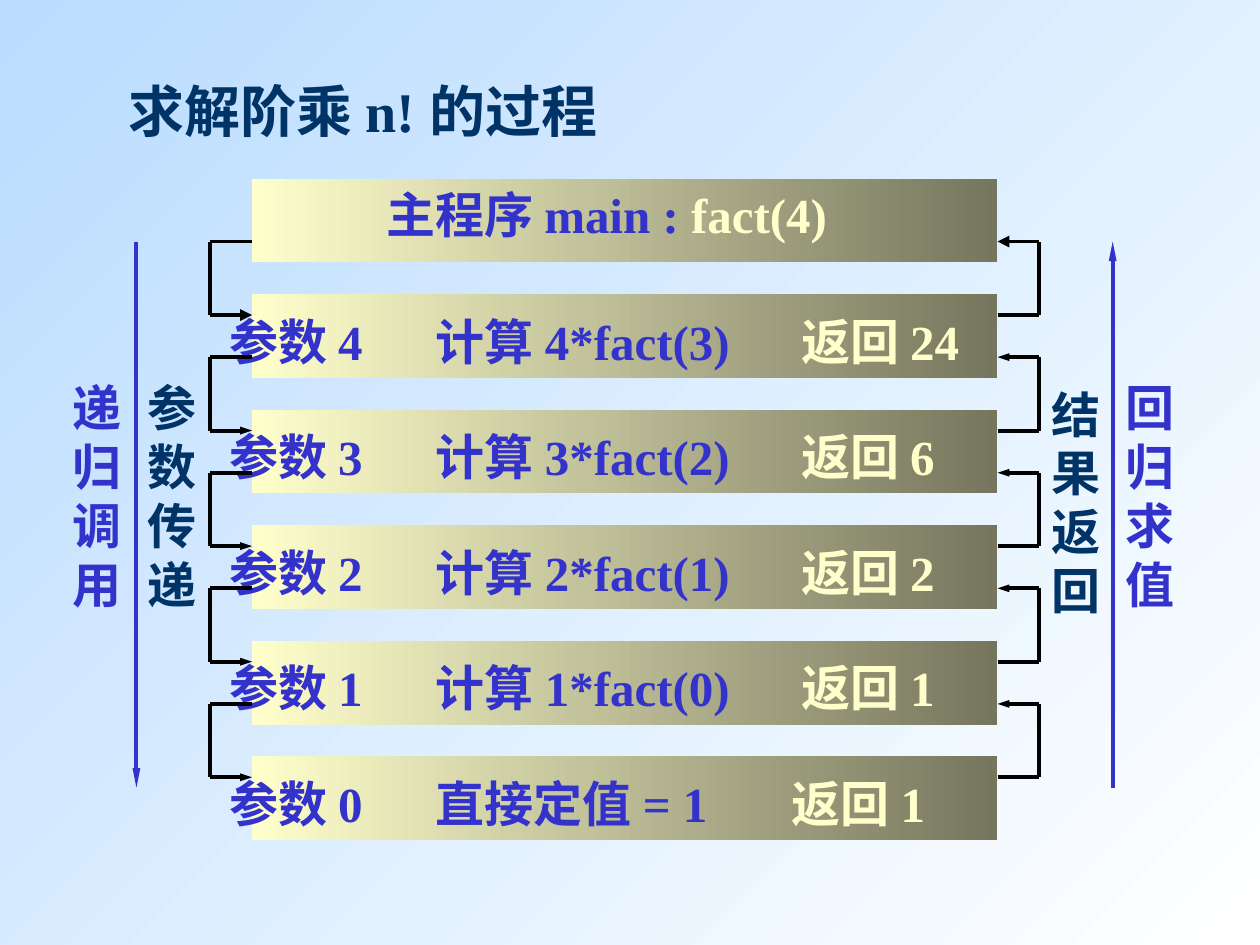
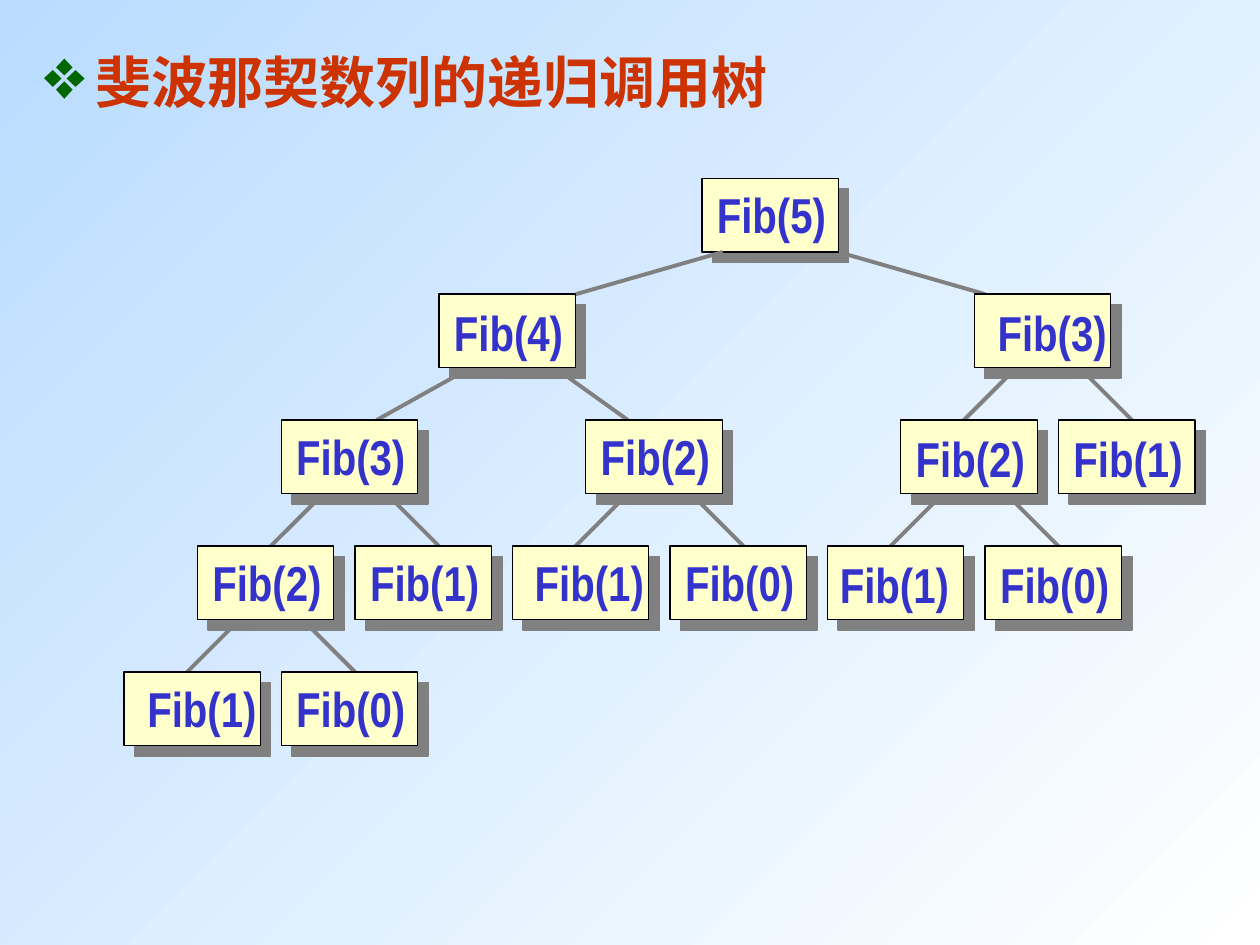
from lxml.etree import SubElement
from pptx import Presentation
from pptx.dml.color import RGBColor
from pptx.enum.shapes import MSO_CONNECTOR, MSO_SHAPE
from pptx.enum.text import MSO_ANCHOR
from pptx.oxml.ns import qn
from pptx.util import Cm, Pt

hue = RGBColor.from_string
BLUE, NAVY, CREAM, GRAY = "3333CC", "003366", "FFFFCC", "808080"
RED, GREEN, BLACK = "CC3300", "006600", "000000"
SERIF, SANS, THIN = "Times New Roman", "Noto Sans CJK SC", "Arial Narrow"


def write(slide, left, top, width, height, runs, font=SERIF, size=28, stops=(), mark=None):
    box = slide.shapes.add_textbox(Cm(left), Cm(top), Cm(width), Cm(height))
    frame = box.text_frame
    frame.word_wrap = True
    para = frame.paragraphs[0]
    para.line_spacing = Pt(size * 1.2)
    props = para._p.get_or_add_pPr()
    if mark:
        props.set("marL", str(Cm(1.03)))
        props.set("indent", str(-Cm(1.03)))
        tint = SubElement(props, qn("a:buClr"))
        SubElement(tint, qn("a:srgbClr"), val=GREEN)
        SubElement(props, qn("a:buSzPct"), val="128000")
        SubElement(props, qn("a:buChar"), char=mark)
    if stops:
        tabs = SubElement(props, qn("a:tabLst"))
        for stop in stops:
            SubElement(tabs, qn("a:tab"), pos=str(Cm(stop)), algn="l")
    for words, color in runs:
        run = para.add_run()
        run.text = words
        run.font.name = font
        run.font.size = Pt(size)
        run.font.bold = True
        run.font.color.rgb = hue(color)
        SubElement(run._r.get_or_add_rPr(), qn("a:ea"), typeface=SANS)
    return frame


def link(slide, x1, y1, x2, y2, color=BLACK, tip=None):
    line = slide.shapes.add_connector(
        MSO_CONNECTOR.STRAIGHT, Cm(x1), Cm(y1), Cm(x2), Cm(y2))
    line.line.color.rgb = hue(color)
    line.line.width = Pt(2.25)
    if tip:
        wide, long = tip
        SubElement(line.line._get_or_add_ln(), qn("a:tailEnd"),
                   type="triangle", w=wide, len=long)
    SubElement(line._element.spPr, qn("a:effectLst"))


deck = Presentation()
deck.slide_width, deck.slide_height = Cm(25.4), Cm(19.05)
back = deck.slide_master.background.fill
back.gradient()
back.gradient_angle = 315
for stop, color in zip(back.gradient_stops, ("B9DCFF", "FFFFFF")):
    stop.color.rgb = hue(color)

calls = deck.slides.add_slide(deck.slide_layouts[6])
title = write(calls, 2.34, 1.27, 17.1, 1.9, [("求解阶乘 n! 的过程", NAVY)], size=32)
title.vertical_anchor = MSO_ANCHOR.MIDDLE

TOP, STEP = 3.6, 2.33
LEFT, RIGHT = 5.08, 20.11
steps = [
    ("参数 4\t计算 4*fact(3)\t", "返回 24", 11.53),
    ("参数 3\t计算 3*fact(2)\t", "返回 6", 11.53),
    ("参数 2\t计算 2*fact(1)\t", "返回 2", 11.53),
    ("参数 1\t计算 1*fact(0)\t", "返回 1", 11.53),
    ("参数 0\t直接定值 = 1\t", "返回 1", 11.34),
]
for row in range(len(steps) + 1):
    top = TOP + row * STEP
    bar = calls.shapes.add_shape(
        MSO_SHAPE.RECTANGLE, Cm(LEFT), Cm(top), Cm(RIGHT - LEFT), Cm(1.69))
    bar.shadow.inherit = False
    bar.line.fill.background()
    bar.fill.gradient()
    bar.fill.gradient_angle = 0
    for stop, color in zip(bar.fill.gradient_stops, (CREAM, "76765E")):
        stop.color.rgb = hue(color)
    if row == 0:
        write(calls, 7.54, top, 12, 1.45,
              [("主程序 main : ", BLUE), ("fact(4)", CREAM)])
        continue
    task, result, last = steps[row - 1]
    write(calls, 4.37, top + 0.22, 16.26, 1.45,
          [(task, BLUE), (result, CREAM)], stops=(4.17, last))
    high, low = top - 1.06, top + 0.42
    tip = ("med" if row == 1 else "sm", "med")
    for edge, side, start, end in ((LEFT, 4.24, high, low), (RIGHT, 20.95, low, high)):
        link(calls, edge, start, side, start)
        link(calls, side, start, side, end)
        link(calls, side, end, edge, end, tip=tip)

for left, top, width, words, color in (
    (2.72, 7.49, 1.73, "参数传递", NAVY),
    (20.95, 7.62, 1.52, "结果返回", NAVY),
    (1.22, 7.49, 1.73, "递归调用", BLUE),
    (22.43, 7.49, 1.73, "回归求值", BLUE),
):
    write(calls, left, top, width, 5, [(words, color)])
link(calls, 2.75, 4.87, 2.75, 15.88, BLUE, ("sm", "lg"))
link(calls, 22.43, 15.88, 22.43, 4.87, BLUE, ("sm", "lg"))

tree = deck.slides.add_slide(deck.slide_layouts[6])
write(tree, 0.64, 0.84, 19.05, 1.63, [("斐波那契数列的递归调用树", RED)],
      font=SANS, size=32, mark="❖")

WIDE, TALL = 2.75, 1.48
levels = [3.6, 5.93, 8.47, 11.01, 13.55]
nodes = [
    (0, 14.15, 5, 0.05, 0),
    (1, 8.85, 4, 0.05, 0.05), (1, 19.64, 3, 0.22, 0.05),
    (2, 5.67, 3, 0.05, 0), (2, 11.81, 2, 0.05, 0),
    (2, 18.16, 2, 0.05, 0.05), (2, 21.34, 1, 0.05, 0.05),
    (3, 3.98, 2, 0.05, 0), (3, 7.16, 1, 0.05, 0),
    (3, 10.33, 1, 0.2, 0), (3, 13.51, 0, 0.05, 0),
    (3, 16.68, 1, 0, 0.05), (3, 19.86, 0, 0.05, 0.05),
    (4, 2.5, 1, 0.22, 0), (4, 5.67, 0, 0.05, 0),
]
even = ((2.12, 1.06), (0.85, -1.06))
forks = [
    (3, 3.98, even), (2, 5.67, even), (2, 11.81, even),
    (2, 18.16, even), (1, 19.64, even),
    (1, 8.85, ((2.33, 1.48), (0.64, -1.9))),
    (0, 14.15, ((2.75, 2.96), (0.42, -2.96))),
]
lines = [
    (left + start, levels[level] + TALL, left + start + run, levels[level + 1])
    for level, left, arms in forks for start, run in arms
]
for ends in lines[:-1]:
    link(tree, *ends, GRAY)
for level, left, num, right, down in nodes:
    card = tree.shapes.add_shape(
        MSO_SHAPE.RECTANGLE, Cm(left), Cm(levels[level]), Cm(WIDE), Cm(TALL))
    card.fill.solid()
    card.fill.fore_color.rgb = hue(CREAM)
    card.line.color.rgb = hue(BLACK)
    card.line.width = Pt(0.75)
    card.shadow.inherit = False
    glow = SubElement(card._element.spPr.find(qn("a:effectLst")), qn("a:outerShdw"),
                      dist=str(Pt(8.5)), dir="2700000", algn="ctr", rotWithShape="0")
    SubElement(glow, qn("a:srgbClr"), val=GRAY)
link(tree, *lines[-1], GRAY)
for level, left, num, right, down in nodes:
    write(tree, left + right, levels[level] + down, 2.9, 1.45,
          [(f"Fib({num})", BLUE)], font=THIN)

deck.save("out.pptx")
